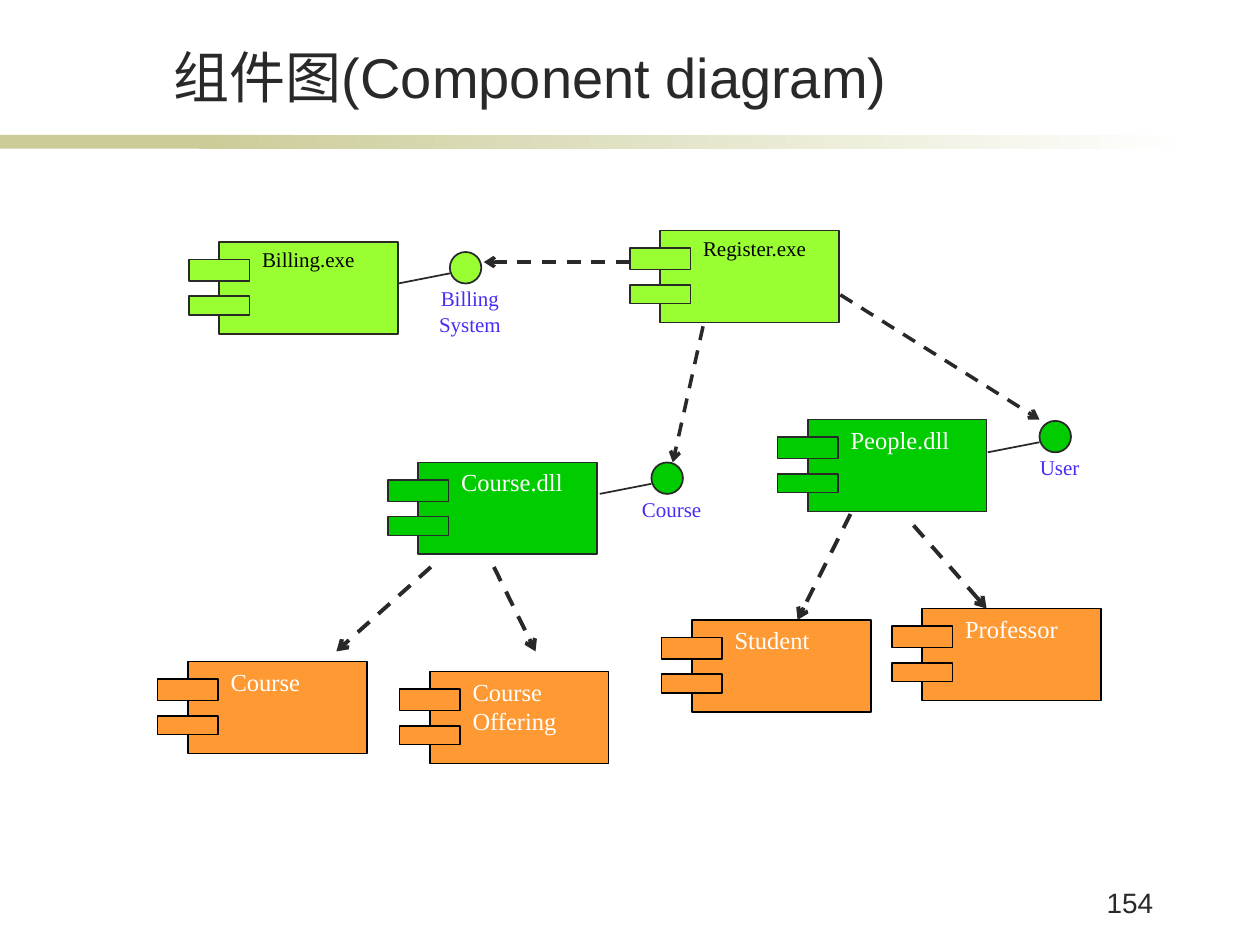
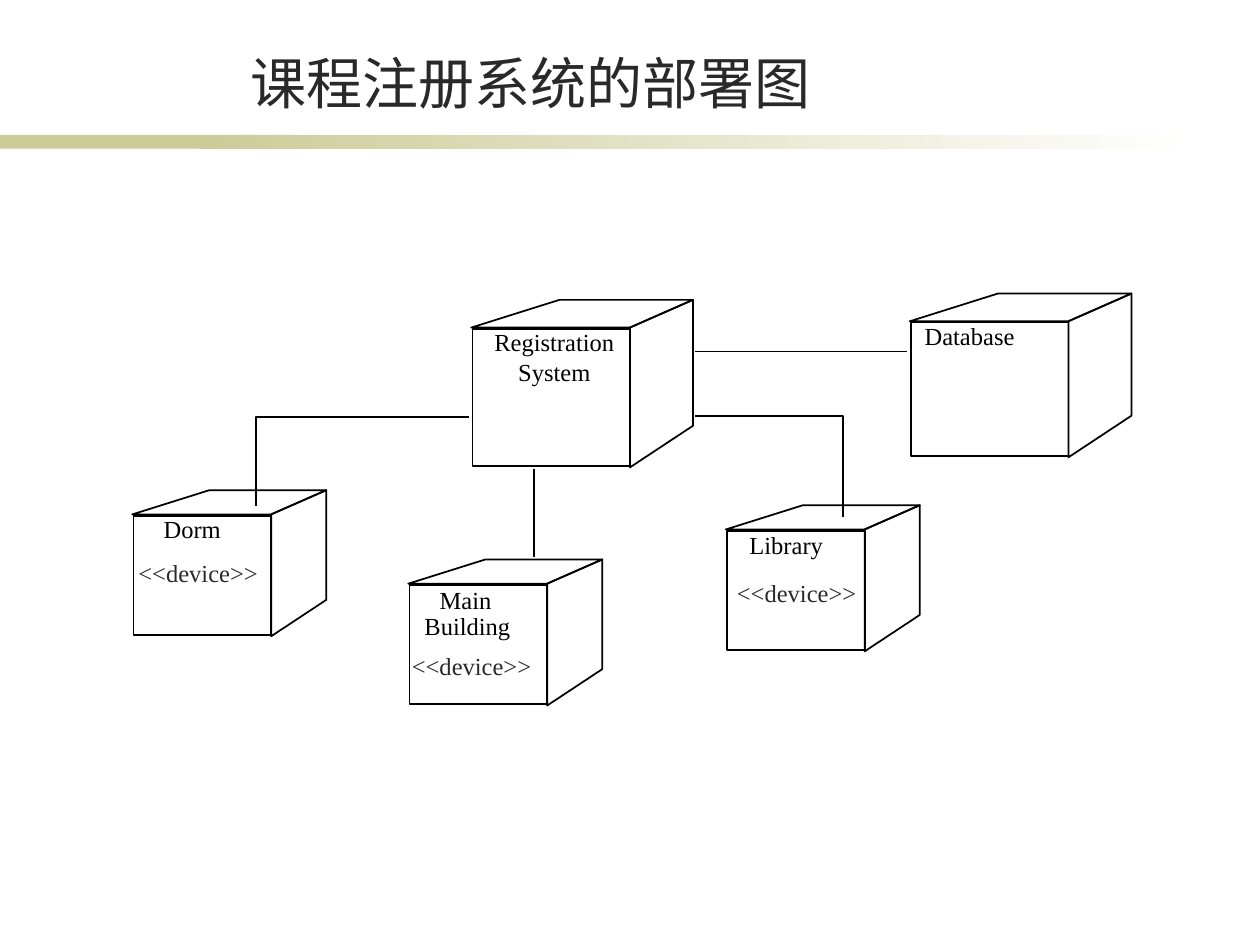
from lxml import etree
from pptx import Presentation
from pptx import util as u
from pptx.dml import color
from pptx.enum import dml, shapes, text
from pptx.oxml import ns

INK, BLACK, WHITE, BLUE = "292929", "000000", "FFFFFF", "452DF5"
LIME, GREEN, ORANGE, KHAKI = "99FF33", "00CC00", "FF9933", "CCCC99"
SANS, SERIF = "Arial", "Times New Roman"
LEFT, CENTER, RIGHT = text.PP_ALIGN.LEFT, text.PP_ALIGN.CENTER, text.PP_ALIGN.RIGHT
TOP, MIDDLE, BOTTOM = text.MSO_ANCHOR.TOP, text.MSO_ANCHOR.MIDDLE, text.MSO_ANCHOR.BOTTOM


def rgb(value):
    return color.RGBColor.from_string(value)


def inches(*values):
    return [u.Inches(v) for v in values]


def set_values(obj, values):
    for name, value in values.items():
        setattr(obj, name, value)


def write(tf, lines, size, font, fill, align=LEFT, anchor=TOP, inset=(0, 0),
          wrap=False, fit=text.MSO_AUTO_SIZE.SHAPE_TO_FIT_TEXT):
    side, edge = inches(*inset)
    set_values(tf, dict(word_wrap=wrap, auto_size=fit, vertical_anchor=anchor,
                        margin_left=side, margin_right=side,
                        margin_top=edge, margin_bottom=edge))
    for i, line in enumerate(lines.split("\n")):
        p = tf.add_paragraph() if i else tf.paragraphs[0]
        p.alignment = align
        r = p.add_run()
        r.text = line
        set_values(r.font, dict(size=u.Pt(size), name=font, bold=False))
        r.font.color.rgb = rgb(fill)


def add_text(s, at, lines, size, font, fill, **layout):
    sp = s.shapes.add_textbox(*inches(*at))
    write(sp.text_frame, lines, size, font, fill, **layout)


def paint(sp, fill=None, line=None):
    sp.shadow.inherit = False
    if fill:
        sp.fill.solid()
        sp.fill.fore_color.rgb = rgb(fill)
    else:
        sp.fill.background()
    if line:
        sp.line.color.rgb = rgb(line)
        sp.line.width = u.Pt(1)
    else:
        sp.line.fill.background()


def add_shape(s, at, fill=None, line=None, kind=shapes.MSO_SHAPE.RECTANGLE):
    sp = s.shapes.add_shape(kind, *inches(*at))
    paint(sp, fill, line)
    return sp


def add_outline(s, points, close=True):
    start, *rest = [inches(*point) for point in points]
    builder = s.shapes.build_freeform(*start)
    builder.add_line_segments(rest, close=close)
    paint(builder.convert_to_shape(), line=BLACK)


def add_line(s, ends, fill=INK, width=1, arrow=False):
    c = s.shapes.add_connector(shapes.MSO_CONNECTOR.STRAIGHT, *inches(*ends))
    c.line.color.rgb = rgb(fill)
    c.line.width = u.Pt(width)
    sp_pr = c._element.spPr
    if arrow:
        c.line.dash_style = dml.MSO_LINE.DASH
        etree.SubElement(sp_pr.find(ns.qn("a:ln")), ns.qn("a:tailEnd"), type="arrow")
    etree.SubElement(sp_pr, ns.qn("a:effectLst"))


def add_slide(prs, title, inset=(0, 0)):
    s = prs.slides.add_slide(prs.slide_layouts[5])
    add_shape(s, (0, 1.07, 2.33, 0.11), KHAKI)
    band = add_shape(s, (1.58, 1.07, 7.92, 0.11), KHAKI)
    band.fill.gradient()
    band.fill.gradient_angle = 0
    for stop, position, fill in zip(band.fill.gradient_stops, (0, 1), (KHAKI, WHITE)):
        stop.position = position
        stop.color.rgb = rgb(fill)
    sp = s.shapes.title
    set_values(sp, dict(zip(("left", "top", "width", "height"),
                            inches(1.14, 0.29, 6.14, 0.63))))
    write(sp.text_frame, title, 32, SANS, INK, align=CENTER, anchor=BOTTOM,
          inset=inset, wrap=True, fit=text.MSO_AUTO_SIZE.NONE)
    return s


def add_component(s, x, y, name, name_width, fill, line=INK, font_color=WHITE, size=14):
    add_shape(s, (x + 0.24, y, 1.42, 0.73), fill, line)
    for drop, height in ((0.14, 0.17), (0.43, 0.15)):
        add_shape(s, (x, y + drop, 0.48, height), fill, line)
    height = size / 60 * len(name.split("\n"))
    add_text(s, (x + 0.58, y + 0.04, name_width, height), name, size, SERIF, font_color)


def add_interface(s, x, y, name, name_width, fill):
    add_line(s, (x - 0.41, y + 0.25, x, y + 0.17))
    add_shape(s, (x, y, 0.25, 0.25), fill, INK, shapes.MSO_SHAPE.OVAL)
    height = 0.04 + 0.2 * len(name.split("\n"))
    add_text(s, (x + 0.16 - name_width / 2, y + 0.25, name_width, height), name,
             12, SERIF, BLUE, align=CENTER, anchor=MIDDLE, inset=(0.06, 0.02))


def add_node(s, x, y, scale=1.0, height=1.33):
    front, roof, depth, slant, rise = (v * scale for v in (1.26, 0.22, 0.5, 0.7, 0.33))
    bottom, edge, right = y + height, x + front, x + front + depth
    add_shape(s, (x + 0.01, y + roof + 0.01, front - 0.01, height - roof - 0.02), line=BLACK)
    add_outline(s, [(x, y + roof), (x + slant, y), (right, y), (edge, y + roof)])
    add_outline(s, [(edge, y + roof), (right, y), (right, bottom - rise), (edge, bottom)])


def add_node_text(s, x, y, width, lines, fill=BLACK, align=LEFT):
    height = 0.1 + 0.23 * len(lines.split("\n"))
    add_text(s, (x, y, width, height), lines, 14, SERIF, fill,
             align=align, inset=(0.1, 0.05))


def component_slide(prs):
    s = add_slide(prs, "组件图(Component diagram)", inset=(0.1, 0.05))
    add_text(s, (8.23, 6.98, 1.02, 0.39), "154", 16, SANS, INK,
             align=RIGHT, inset=(0.1, 0.05), wrap=True)
    for x, y, name, width in ((1.25, 5.25, "Course", 0.62),
                              (3.17, 5.33, "Course\nOffering", 0.69),
                              (5.25, 4.92, "Student", 0.67),
                              (7.08, 4.83, "Professor", 0.83)):
        add_component(s, x, y, name, width, ORANGE, line=BLACK)
    for x, y, name, width in ((3.08, 3.67, "Course.dll", 0.87),
                              (6.17, 3.33, "People.dll", 0.85)):
        add_component(s, x, y, name, width, GREEN)
    for x, y, name, width in ((5, 1.83, "Register.exe", 0.93),
                              (1.5, 1.92, "Billing.exe", 0.76)):
        add_component(s, x, y, name, width, LIME, font_color=BLACK, size=12)
    add_interface(s, 5.17, 3.67, "Course", 0.65, GREEN)
    add_interface(s, 8.25, 3.34, "User", 0.47, GREEN)
    add_interface(s, 3.57, 2, "Billing\nSystem", 0.67, LIME)
    for ends in ((5, 2.08, 3.84, 2.08), (5.58, 2.59, 5.34, 3.67), (6.67, 2.34, 8.25, 3.33)):
        add_line(s, ends, width=2, arrow=True)
    for ends in ((3.42, 4.5, 2.67, 5.17), (3.92, 4.5, 4.25, 5.17),
                 (6.75, 4.08, 6.33, 4.92), (7.25, 4.17, 7.83, 4.83)):
        add_line(s, ends, width=2.25, arrow=True)


def deployment_slide(prs):
    s = add_slide(prs, "课程注册系统的部署图")
    add_node(s, 3.74, 2.38)
    add_node(s, 7.22, 2.33, height=1.3)
    for x, y in ((1.05, 3.89), (3.24, 4.44), (5.76, 4.01)):
        add_node(s, x, y, scale=0.875, height=1.16)
    add_node_text(s, 3.78, 2.55, 1.24, "Registration\nSystem", align=CENTER)
    for x, y, width, name in ((7.24, 2.5, 1.03, "Database"), (1.2, 4.03, 0.68, "Dorm"),
                              (3.39, 4.59, 0.68, "Main"), (3.27, 4.8, 0.89, "Building"),
                              (5.85, 4.16, 0.8, "Library")):
        add_node_text(s, x, y, width, name)
    for x, y in ((1, 4.38), (3.17, 5.12), (5.75, 4.54)):
        add_node_text(s, x, y, 1.21, "<<device>>", fill=INK)
    add_outline(s, [(3.72, 3.31), (2.03, 3.31), (2.03, 4.02)], close=False)
    add_outline(s, [(5.52, 3.3), (6.69, 3.3), (6.69, 4.1)], close=False)
    for ends in ((4.24, 3.72, 4.24, 4.42), (5.52, 2.79, 7.2, 2.79)):
        add_line(s, ends, BLACK)


def main():
    prs = Presentation()
    prs.slide_width, prs.slide_height = inches(10, 7.5)
    component_slide(prs)
    deployment_slide(prs)
    prs.save("out.pptx")


if __name__ == "__main__":
    main()
